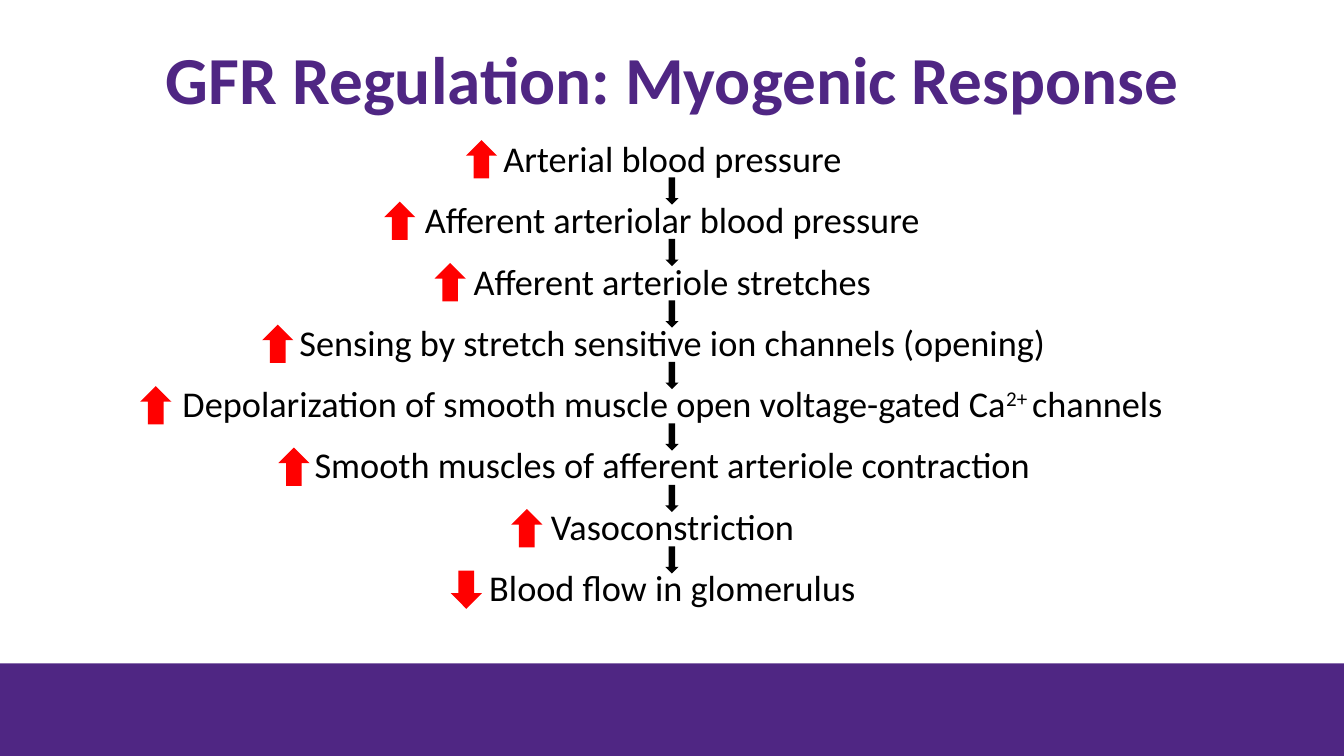
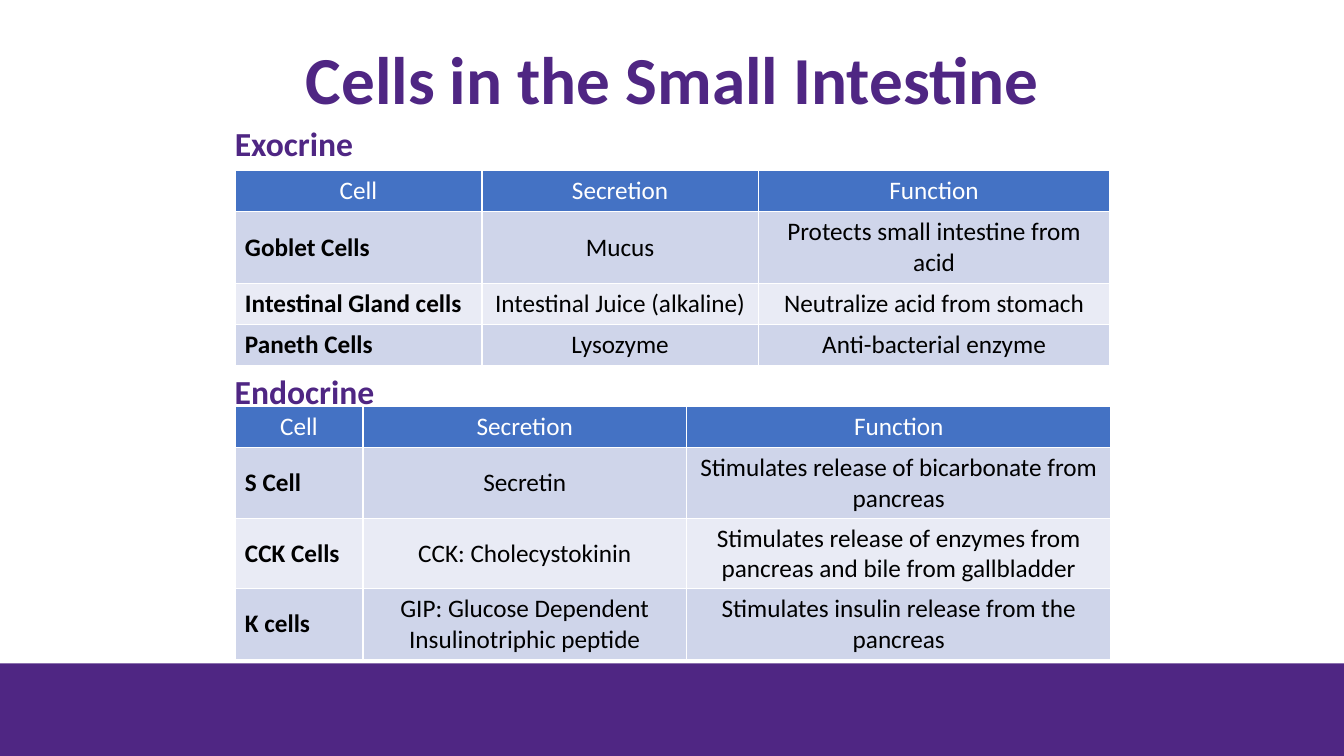
from lxml import etree
from pptx import Presentation
from pptx.dml.color import RGBColor
from pptx.enum.shapes import MSO_SHAPE as Preset
from pptx.enum.text import MSO_ANCHOR as Anchor, MSO_AUTO_SIZE as AutoSize, PP_ALIGN as Align
from pptx.oxml.ns import qn
from pptx.util import Emu, Pt

PX = 9144  # 100 px to the inch
WIDTH, HEIGHT = 1333, 750
FONT = "Calibri"
PURPLE, RED, BLACK, WHITE = "4F2683", "FF0000", "000000", "FFFFFF"
HEADER_BLUE, ROW_TINTS = "4472C4", ("CFD5EA", "E9EBF5")
TITLE_LAYOUT, LIST_LAYOUT = 5, 1

MYOGENIC_TITLE = "GFR Regulation: Myogenic Response"
# Spans of each step (every second span is superscript), change, left of its arrow
STEPS = [
    (["Arterial blood pressure"], "up", 462),
    (["Afferent arteriolar blood pressure"], "up", 381),
    (["Afferent arteriole stretches"], "up", 431),
    (["Sensing by stretch sensitive ion channels (opening)"], "up", 260),
    (["Depolarization of smooth muscle open voltage-gated Ca", "2+ ", "channels"], "up", 139),
    (["Smooth muscles of afferent arteriole contraction"], "up", 276),
    (["Vasoconstriction"], "up", 507),
    (["Blood flow in glomerulus"], "down", 447),
]
STEP_PITCH = 61
CHANGE_ARROWS = {"up": Preset.UP_ARROW, "down": Preset.DOWN_ARROW}

CELLS_TITLE = "Cells in the Small Intestine"
HEADER = ("Cell", "Secretion", "Function")
CELL_GROUPS = [
    {
        "label": "Exocrine", "label_top": 117, "label_width": 139,
        "table_top": 169, "columns": (245, 274, 349),
        "rows": [
            ("Goblet Cells", "Mucus", "Protects small intestine from acid"),
            ("Intestinal Gland cells", "Intestinal Juice (alkaline)", "Neutralize acid from stomach"),
            ("Paneth Cells", "Lysozyme", "Anti-bacterial enzyme"),
        ],
    },
    {
        "label": "Endocrine", "label_top": 363, "label_width": 160,
        "table_top": 403, "columns": (127, 321, 421),
        "rows": [
            ("S Cell", "Secretin", "Stimulates release of bicarbonate from pancreas"),
            ("CCK Cells", "CCK: Cholecystokinin",
             "Stimulates release of enzymes from pancreas and bile from gallbladder"),
            ("K cells", "GIP: Glucose Dependent Insulinotriphic peptide",
             "Stimulates insulin release from the pancreas"),
        ],
    },
]
TABLE_LEFT, ROW_HEIGHT = 233, 41


def px(*lengths):
    return [Emu(length * PX) for length in lengths]


def rgb(value):
    return RGBColor.from_string(value)


def style(font, size, color, bold=False):
    font.name, font.size, font.bold = FONT, Pt(size), bold
    font.color.rgb = rgb(color)


def place(shape, left, top, width, height):
    shape.left, shape.top, shape.width, shape.height = px(left, top, width, height)


def add_solid(page, preset, left, top, width, height, color):
    shape = page.shapes.add_shape(preset, *px(left, top, width, height))
    shape.shadow.inherit = False
    shape.fill.solid()
    shape.fill.fore_color.rgb = rgb(color)
    shape.line.fill.background()


def add_page(deck, layout, title):
    """Add a slide with the shared title style and bottom band."""
    page = deck.slides.add_slide(deck.slide_layouts[layout])
    box = page.shapes.title
    place(box, 92, 22, 1150, 120)
    frame = box.text_frame
    frame.text = title
    frame.auto_size, frame.vertical_anchor = AutoSize.NONE, Anchor.MIDDLE
    para = frame.paragraphs[0]
    para.alignment, para.line_spacing = Align.CENTER, 0.9
    style(para.runs[0].font, 48, PURPLE, True)
    add_solid(page, Preset.RECTANGLE, 0, 658, WIDTH, HEIGHT - 658, PURPLE)
    return page


def remove_bullet(para):
    properties = para._p.get_or_add_pPr()
    properties.set("marL", "0")
    properties.set("indent", "0")
    etree.SubElement(properties, qn("a:buNone"))


def fill_steps(box):
    place(box, 92, 142, 1150, 469)
    frame = box.text_frame
    frame.auto_size = AutoSize.NONE
    for index, (spans, _, _) in enumerate(STEPS):
        para = frame.add_paragraph() if index else frame.paragraphs[0]
        remove_bullet(para)
        para.alignment, para.line_spacing = Align.CENTER, 0.7
        para.space_before, para.space_after = Pt(10 if index else 0), Pt(12)
        for position, text in enumerate(spans):
            span = para.add_run()
            span.text = text
            style(span.font, 25.9, BLACK)
            if position % 2:
                span._r.get_or_add_rPr().set("baseline", "30000")


def build_myogenic(deck):
    page = add_page(deck, LIST_LAYOUT, MYOGENIC_TITLE)
    fill_steps(page.placeholders[1])
    for index, (_, change, left) in enumerate(STEPS):
        offset = index * STEP_PITCH
        if index < len(STEPS) - 1:
            add_solid(page, Preset.DOWN_ARROW, 660, 176 + offset, 13, 27, BLACK)
        add_solid(page, CHANGE_ARROWS[change], left, 139 + offset, 31, 38, RED)


def add_borders(cell):
    properties = cell._tc.get_or_add_tcPr()
    for side in ("a:lnL", "a:lnR", "a:lnT", "a:lnB"):
        line = etree.SubElement(properties, qn(side), w=str(Pt(1)))
        fill = etree.SubElement(line, qn("a:solidFill"))
        etree.SubElement(fill, qn("a:srgbClr"), val=WHITE)


def fill_cell(cell, text, row, column):
    is_header = row == 0
    is_name = column == 0 and not is_header
    cell.text_frame.text = text
    cell.vertical_anchor = Anchor.TOP if is_header else Anchor.MIDDLE
    para = cell.text_frame.paragraphs[0]
    para.alignment = Align.LEFT if is_name else Align.CENTER
    style(para.runs[0].font, 18, WHITE if is_header else BLACK, is_name)
    add_borders(cell)
    cell.fill.solid()
    cell.fill.fore_color.rgb = rgb(HEADER_BLUE if is_header else ROW_TINTS[(row - 1) % 2])


def add_cell_table(page, group):
    rows, columns = [HEADER, *group["rows"]], group["columns"]
    area = px(TABLE_LEFT, group["table_top"], sum(columns), len(rows) * ROW_HEIGHT)
    table = page.shapes.add_table(len(rows), len(columns), *area).table
    for column, width in zip(table.columns, px(*columns)):
        column.width = width
    for row, texts in enumerate(rows):
        for column, text in enumerate(texts):
            fill_cell(table.cell(row, column), text, row, column)


def add_label(page, group):
    area = px(TABLE_LEFT - 10, group["label_top"], group["label_width"], 50)
    frame = page.shapes.add_textbox(*area).text_frame
    frame.text = group["label"]
    frame.word_wrap = False
    style(frame.paragraphs[0].runs[0].font, 24, PURPLE, True)


def build_cells(deck):
    page = add_page(deck, TITLE_LAYOUT, CELLS_TITLE)
    for group in CELL_GROUPS:
        add_cell_table(page, group)
        add_label(page, group)


def main():
    deck = Presentation()
    deck.slide_width, deck.slide_height = px(WIDTH, HEIGHT)
    build_myogenic(deck)
    build_cells(deck)
    deck.save("out.pptx")


if __name__ == "__main__":
    main()
